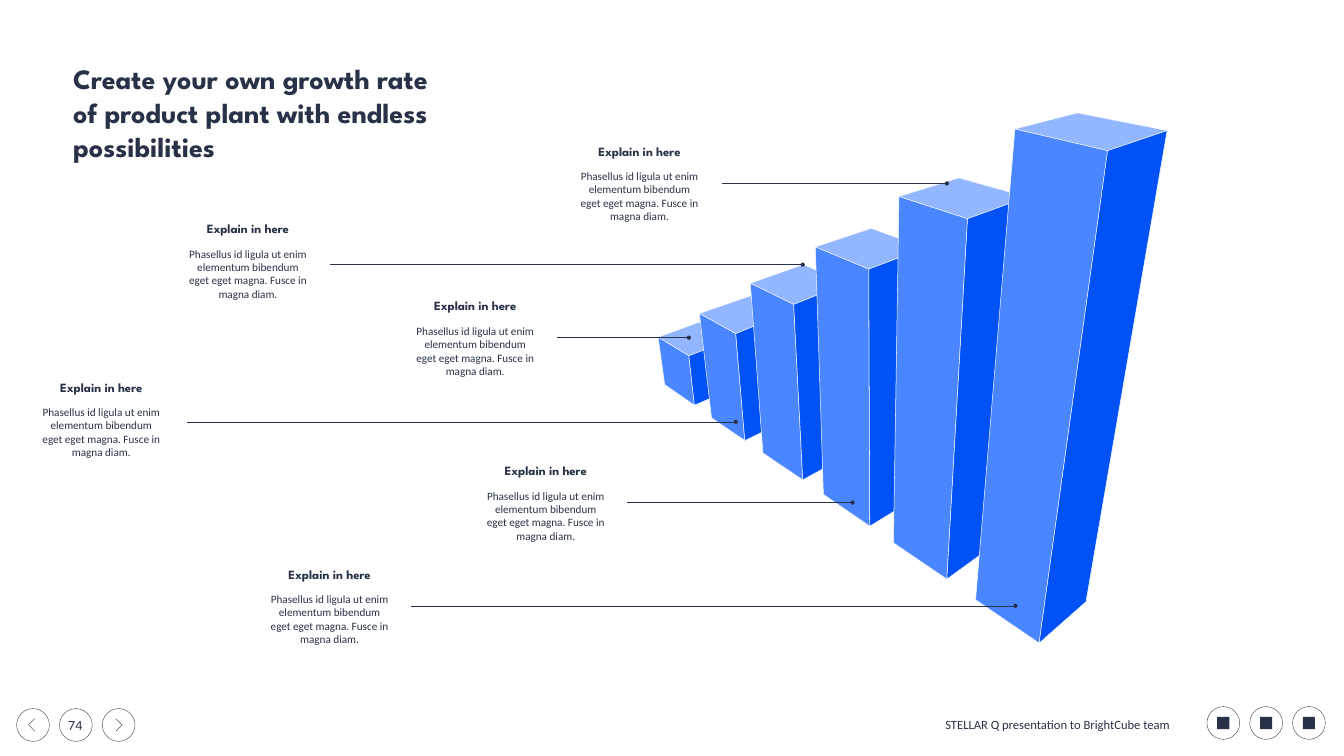
from lxml import etree
from pptx import Presentation
from pptx import util as u
from pptx.dml.color import RGBColor
from pptx.enum import shapes, text
from pptx.oxml import ns

INK, EDGE = "283147", "F3F8FF"
TOP, FRONT, SIDE = "92B6FF", "4A86FF", "0052F7"
HEADING, BODY = "League Spartan", "Calibri"
EXPLANATION = ("Phasellus id ligula ut enim elementum bibendum eget eget magna. "
               "Fusce in magna diam.")


def inch(value):
    return u.Cm(2.54 * value)


def colour(value):
    return RGBColor.from_string(value)


class Deck:
    def __init__(self, width, height):
        self.deck = Presentation()
        self.deck.slide_width, self.deck.slide_height = inch(width), inch(height)
        self.slide = self.deck.slides.add_slide(self.deck.slide_layouts[5])

    def paint(self, shape, fill=None, line=None, weight=0.5):
        shape.shadow.inherit = False
        if fill:
            shape.fill.solid()
            shape.fill.fore_color.rgb = colour(fill)
        else:
            shape.fill.background()
        if line:
            shape.line.color.rgb = colour(line)
            shape.line.width = u.Pt(weight)
        else:
            shape.line.fill.background()

    def set_text(self, box, wording, size, font, bold=False,
                 align=text.PP_ALIGN.LEFT, anchor=text.MSO_ANCHOR.TOP, wrap=True):
        frame = box.text_frame
        frame.word_wrap = wrap
        frame.auto_size = text.MSO_AUTO_SIZE.NONE
        frame.vertical_anchor = anchor
        paragraph = frame.paragraphs[0]
        paragraph.alignment = align
        run = paragraph.add_run()
        run.text = wording
        run.font.size, run.font.name, run.font.bold = u.Pt(size), font, bold
        run.font.color.rgb = colour(INK)

    def title(self, wording, left, top, width, height):
        heading = self.slide.shapes.title
        heading.left, heading.top = inch(left), inch(top)
        heading.width, heading.height = inch(width), inch(height)
        self.set_text(heading, wording, 40, HEADING, bold=True)

    def label(self, wording, left, top, width, height, size, font, **style):
        box = self.slide.shapes.add_textbox(*map(inch, (left, top, width, height)))
        self.set_text(box, wording, size, font, **style)

    def preset(self, kind, left, top, size, **style):
        shape = self.slide.shapes.add_shape(kind, *map(inch, (left, top, size, size)))
        self.paint(shape, **style)

    def outline(self, points, closed=True, **style):
        corners = [(inch(x), inch(y)) for x, y in points]
        builder = self.slide.shapes.build_freeform(*corners[0])
        builder.add_line_segments(corners[1:], close=closed)
        self.paint(builder.convert_to_shape(), **style)

    def bar(self, left, back, right, front, low_left, low_front, low_right):
        faces = ((TOP, (left, back, right, front)),
                 (FRONT, (left, front, low_front, low_left)),
                 (SIDE, (front, right, low_right, low_front)))
        for fill, corners in faces:
            self.outline(corners, fill=fill, line=EDGE, weight=0.75)

    def pointer(self, tip, end, y):
        leader = self.slide.shapes.add_connector(
            shapes.MSO_CONNECTOR.STRAIGHT, *map(inch, (tip, y, end, y)))
        leader.line.color.rgb = colour(INK)
        leader.line.width = u.Pt(0.75)
        properties = leader.element.spPr
        etree.SubElement(properties.find(ns.qn("a:ln")), ns.qn("a:headEnd"), type="oval")
        etree.SubElement(properties, ns.qn("a:effectLst"))

    def callout(self, tip, end, y, left, top):
        centre = text.PP_ALIGN.CENTER
        self.pointer(tip, end, y)
        self.label("Explain in here", left, top, 2.42, 0.4, 18, HEADING,
                   bold=True, align=centre)
        self.label(EXPLANATION, left - 0.08, top + 0.51, 2.58, 1.18, 16, BODY,
                   align=centre)


BARS = [
    ((13.06, 6.69), (13.99, 6.35), (14.6, 6.7), (13.67, 7.06),
     (13.19, 7.63), (13.78, 8.04), (14.69, 7.65)),
    ((13.88, 6.22), (14.89, 5.87), (15.57, 6.22), (14.6, 6.62),
     (14.12, 8.29), (14.78, 8.74), (15.72, 8.29)),
    ((14.89, 5.62), (15.94, 5.25), (16.81, 5.62), (15.75, 6.04),
     (15.14, 8.99), (15.93, 9.52), (16.87, 9.01)),
    ((16.18, 4.9), (17.29, 4.53), (18.35, 4.92), (17.24, 5.34),
     (16.34, 9.81), (17.26, 10.44), (18.22, 9.85)),
    ((17.84, 3.9), (19.03, 3.53), (20.38, 3.91), (19.2, 4.34),
     (17.73, 10.77), (18.79, 11.49), (19.74, 10.8)),
    ((20.14, 2.56), (21.38, 2.24), (23.16, 2.59), (21.98, 2.99),
     (19.36, 11.9), (20.62, 12.76), (21.55, 11.94)),
]

CALLOUTS = [
    (13.67, 11.06, 6.7, 8.22, 5.87),
    (14.6, 3.71, 8.37, 0.8, 7.48),
    (15.93, 6.54, 5.25, 3.71, 4.34),
    (16.92, 12.45, 9.97, 9.62, 9.14),
    (18.79, 14.32, 3.64, 11.48, 2.8),
    (20.15, 8.15, 12.02, 5.33, 11.19),
]


def main():
    growth = Deck(26.67, 15)
    button, icon = 0.65, 0.24
    inset = (button - icon) / 2
    oval, square = shapes.MSO_SHAPE.OVAL, shapes.MSO_SHAPE.RECTANGLE

    growth.label("74", 1.36, 14.06, 0.27, 0.64, 20, BODY, wrap=False,
                 align=text.PP_ALIGN.CENTER, anchor=text.MSO_ANCHOR.MIDDLE)
    growth.label("STELLAR Q presentation to BrightCube team", 18.66, 14.17, 4.66, 0.4,
                 18, BODY, wrap=False)
    for place in range(3):
        offset = place * 0.85
        growth.preset(oval, 0.33 + offset, 14.06, button, line=INK)
        growth.preset(oval, 23.95 + offset, 14.02, button, line=INK)
        growth.preset(square, 23.95 + offset + inset, 14.02 + inset, icon, fill=INK)
    for base, point in ((0.69, 0.57), (2.3, 2.42)):
        growth.outline([(base, 14.26), (point, 14.38), (base, 14.51)],
                       closed=False, line=INK)

    for corners in BARS:
        growth.bar(*corners)
    for place in CALLOUTS:
        growth.callout(*place)
    growth.title("Create your own growth rate of product plant with endless possibilities",
                 1.35, 1.18, 7.43, 2.12)
    growth.deck.save("out.pptx")


if __name__ == "__main__":
    main()
